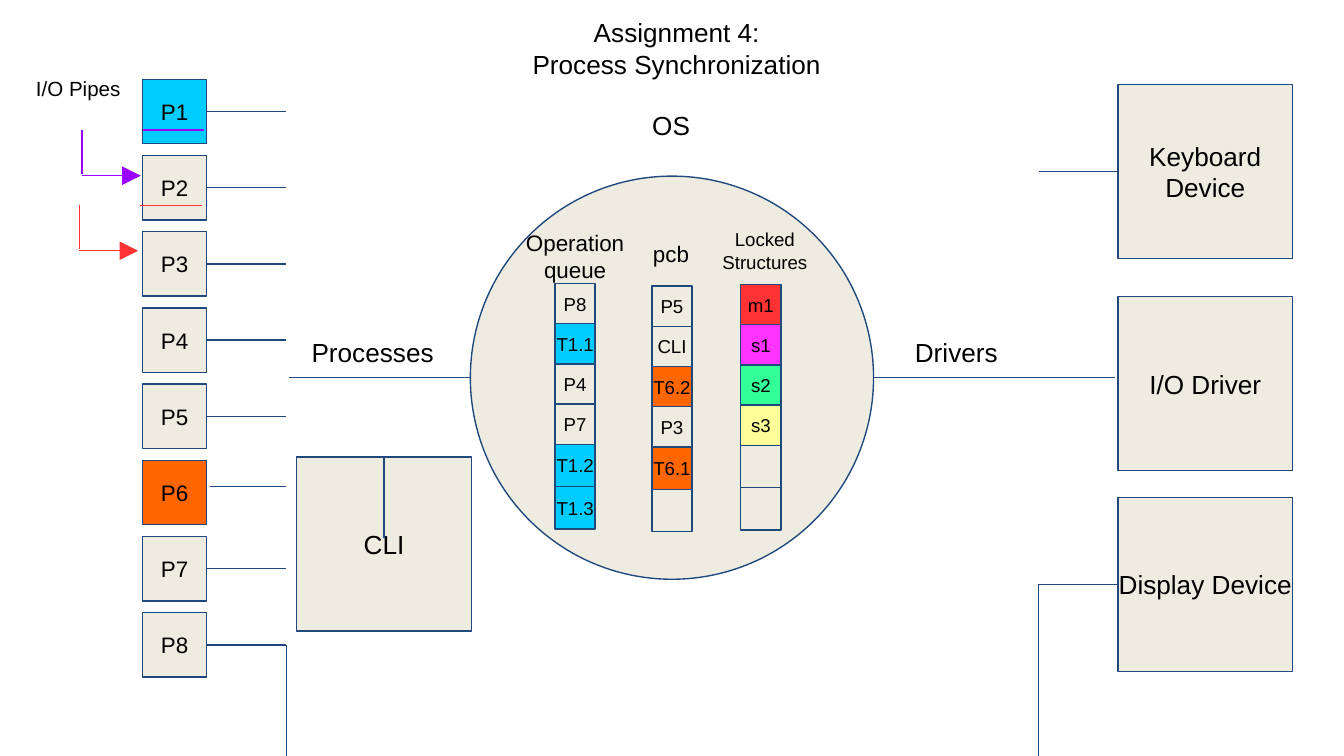
from itertools import accumulate

from lxml import etree
from pptx import Presentation
from pptx import util as u
from pptx.dml.color import RGBColor
from pptx.enum import shapes, text
from pptx.oxml.ns import qn

COLORS = {
    "ink": "000000", "paper": "EEECE1", "navy": "1F497D",
    "cyan": "00CCFF", "orange": "FF6600", "red": "FF3333",
    "magenta": "FF33FF", "green": "33FF99", "yellow": "FFFF99",
    "purple": "9900FF",
}
SLIDE_WIDTH, SLIDE_HEIGHT = 25.4, 14.29


class Diagram:
    font = "Arial"
    line_width = u.Pt(0.75)

    def __init__(self, slide):
        self.slide = slide

    def color(self, name):
        return RGBColor.from_string(COLORS[name])

    def set_text(self, frame, wording, size, inset=0.0, align="CENTER",
                 anchor="MIDDLE", wrap=True):
        frame.text = wording
        frame.auto_size = text.MSO_AUTO_SIZE.NONE
        frame.word_wrap = wrap
        frame.vertical_anchor = text.MSO_ANCHOR[anchor]
        frame.margin_left = frame.margin_right = u.Cm(inset)
        frame.margin_top = frame.margin_bottom = u.Cm(inset)
        for paragraph in frame.paragraphs:
            paragraph.alignment = text.PP_ALIGN[align]
            paragraph.font.name = self.font
            paragraph.font.size = u.Pt(size)
            paragraph.font.color.rgb = self.color("ink")

    def title(self, wording, box, size):
        heading = self.slide.shapes.title
        heading.left, heading.top, heading.width, heading.height = map(u.Cm, box)
        self.set_text(heading.text_frame, wording, size, 0.25)

    def label(self, wording, box, size, **layout):
        holder = self.slide.shapes.add_textbox(*map(u.Cm, box))
        self.set_text(holder.text_frame, wording, size, 0.25, **layout)

    def block(self, box, wording="", size=14, fill="paper", kind="RECTANGLE",
              wrap=True):
        outline = self.slide.shapes.add_shape(
            shapes.MSO_SHAPE[kind], *map(u.Cm, box))
        outline.shadow.inherit = False
        outline.fill.solid()
        outline.fill.fore_color.rgb = self.color(fill)
        outline.line.color.rgb = self.color("navy")
        outline.line.width = self.line_width
        if wording:
            self.set_text(outline.text_frame, wording, size, wrap=wrap)
        return outline

    def link(self, start, end, color="navy", begin_at=None, end_at=None,
             arrow=False):
        wire = self.slide.shapes.add_connector(
            shapes.MSO_CONNECTOR.STRAIGHT, *map(u.Cm, (*start, *end)))
        wire.line.color.rgb = self.color(color)
        wire.line.width = self.line_width
        if begin_at:
            wire.begin_connect(*begin_at)
        if end_at:
            wire.end_connect(*end_at)
        properties = wire.element.spPr
        if arrow:
            etree.SubElement(properties.find(qn("a:ln")), qn("a:tailEnd"),
                             type="triangle", w="lg", len="lg")
        etree.SubElement(properties, qn("a:effectLst"))

    def stack(self, left, top, entries):
        heights = [0.76] * 4 + [0.8] * 2
        offsets = accumulate(heights, initial=0)
        for (wording, fill), height, offset in zip(entries, heights, offsets):
            self.block((left, top + offset, 0.76, height), wording, 10, fill,
                       wrap=False)


def main():
    deck = Presentation()
    deck.slide_width = u.Cm(SLIDE_WIDTH)
    deck.slide_height = u.Cm(SLIDE_HEIGHT)
    diagram = Diagram(deck.slides.add_slide(deck.slide_layouts[5]))

    diagram.title("Assignment 4:\nProcess Synchronization",
                  (9.07, 0.51, 7.44, 0.79), 14)

    diagram.block((8.89, 3.33, 7.62, 7.62), kind="OVAL")
    diagram.label("OS", (11.76, 1.73, 1.85, 1.27), 14)
    diagram.label("Operation\nqueue", (9.6, 4.09, 2.54, 1.45), 12, anchor="TOP")
    diagram.label("pcb", (12.09, 4.29, 1.22, 0.94), 12, align="LEFT",
                  anchor="TOP", wrap=False)
    diagram.label("Locked Structures", (13.34, 4.27, 2.23, 0.94), 10)
    diagram.stack(10.49, 5.36, [
        ("P8", "paper"), ("T1.1", "cyan"), ("P4", "paper"),
        ("P7", "paper"), ("T1.2", "cyan"), ("T1.3", "cyan")])
    diagram.stack(12.32, 5.41, [
        ("P5", "paper"), ("CLI", "paper"), ("T6.2", "orange"),
        ("P3", "paper"), ("T6.1", "orange"), ("", "paper")])
    diagram.stack(14.0, 5.38, [
        ("m1", "red"), ("s1", "magenta"), ("s2", "green"),
        ("s3", "yellow"), ("", "paper"), ("", "paper")])

    bus_x, process_size, process_pitch = 5.41, 1.22, 1.44
    process_fills = {"P1": "cyan", "P6": "orange"}
    for row in range(8):
        name = f"P{row + 1}"
        top = 1.5 + row * process_pitch
        middle = top + process_size / 2
        process = diagram.block((2.69, top, process_size, process_size), name,
                                12, process_fills.get(name, "paper"))
        if name == "P6":
            diagram.link((3.96, 9.19), (bus_x, 9.19))
        else:
            diagram.link((3.91, middle), (bus_x, middle), begin_at=(process, 3))
    diagram.link((bus_x, SLIDE_HEIGHT), (bus_x, middle))

    for name, top in (("Keyboard Device", 1.6), ("I/O Driver", 5.61),
                      ("Display Device", 9.4)):
        device = diagram.block((21.13, top, 3.3, 3.29), name)
        if name != "I/O Driver":
            middle = top + 3.29 / 2
            diagram.link((19.63, middle), (21.13, middle), end_at=(device, 1))
    diagram.link((19.63, SLIDE_HEIGHT), (19.63, middle))

    command_line = diagram.block((5.61, 8.64, 3.3, 3.29), "CLI")
    diagram.link((7.26, 10.16), (7.26, 8.64), end_at=(command_line, 0))

    diagram.link((5.46, 7.14), (8.89, 7.14))
    diagram.link((16.51, 7.14), (21.08, 7.14))
    diagram.label("Processes", (5.56, 6.43, 2.97, 0.46), 14)
    diagram.label("Drivers", (16.59, 6.43, 2.97, 0.46), 14)

    diagram.label("I/O Pipes", (0.43, 1.19, 2.13, 1.07), 11, align="LEFT",
                  anchor="TOP", wrap=False)
    for color, left, top in (("purple", 1.55, 2.46), ("red", 1.5, 3.88)):
        diagram.link((left + 2.31, top), (left + 1.15, top), color)
        diagram.link((left, top), (left, top + 0.82), color)
        diagram.link((left, top + 0.86), (left + 1.11, top + 0.86), color,
                     arrow=True)

    deck.save("out.pptx")


if __name__ == "__main__":
    main()
